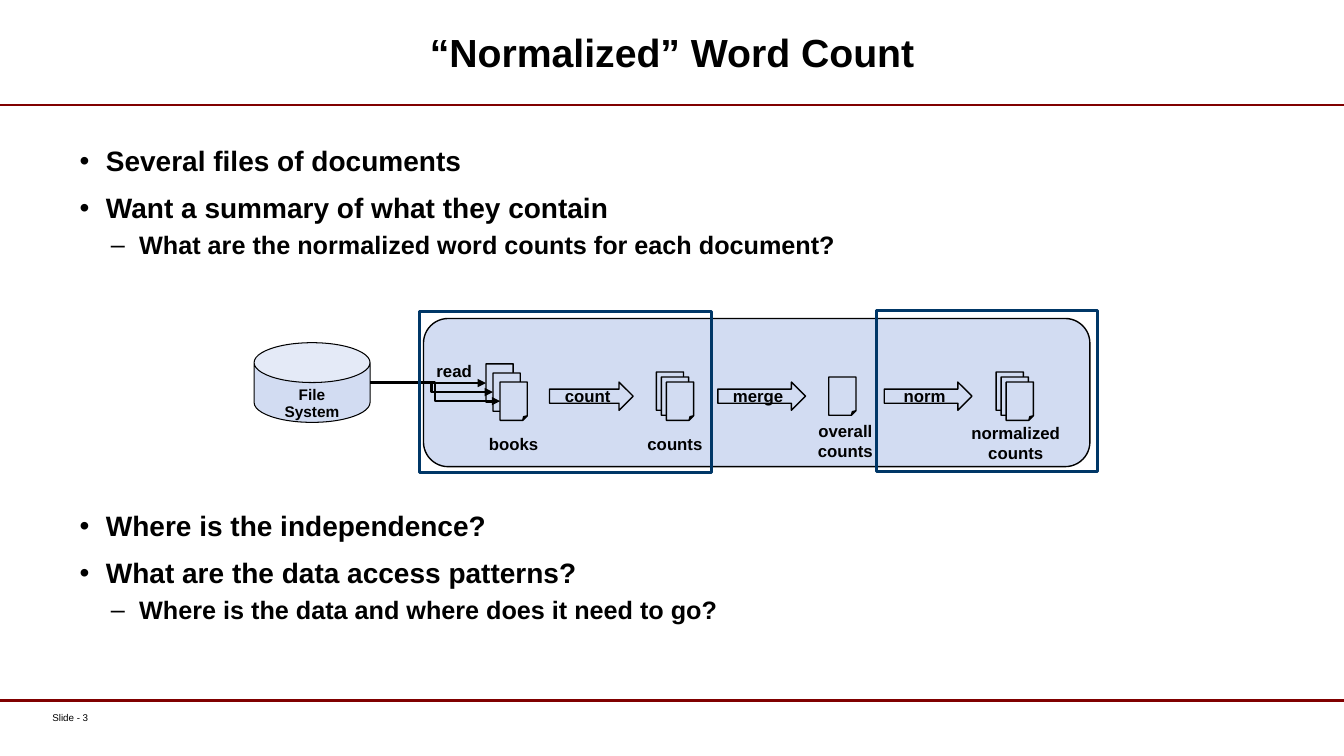
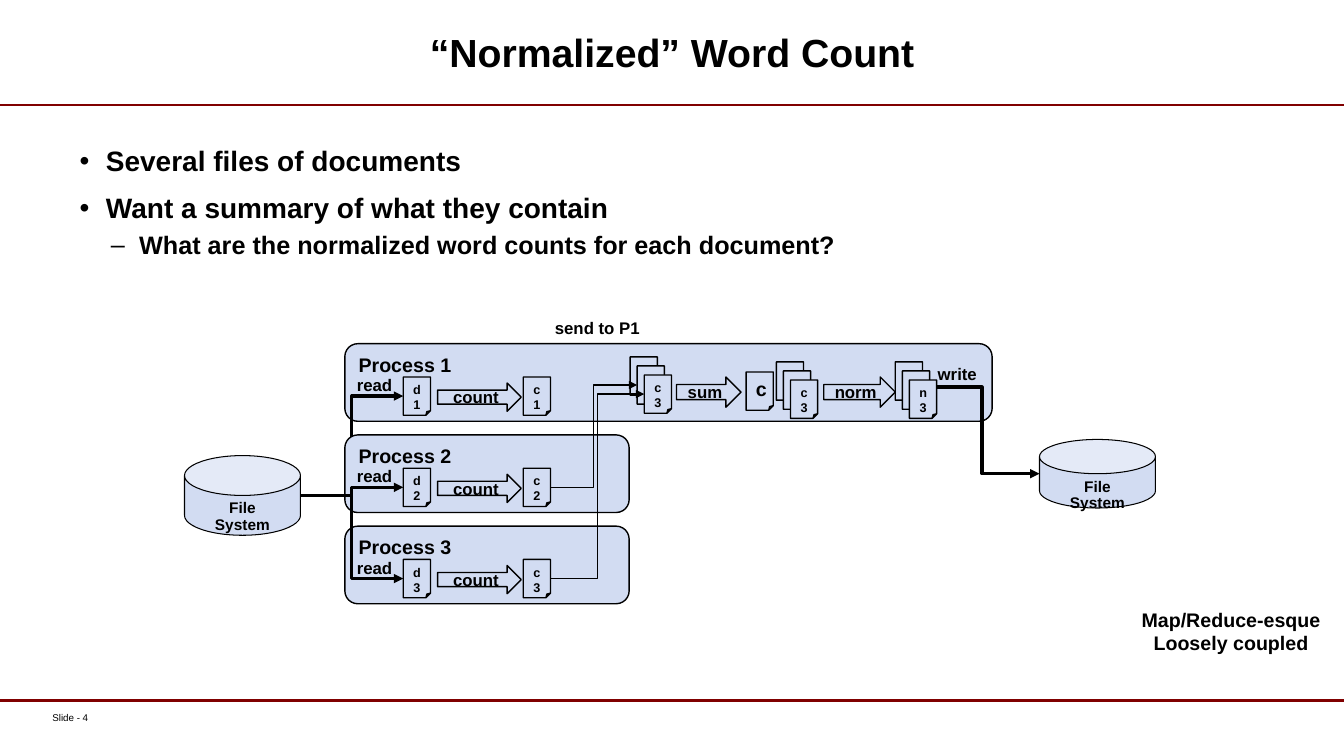
"""Build two slides that explain a normalized word count and its process layout."""
from lxml import etree
from pptx import Presentation
from pptx.dml.color import RGBColor
from pptx.enum.shapes import MSO_CONNECTOR, MSO_SHAPE
from pptx.enum.text import MSO_ANCHOR, MSO_AUTO_SIZE, PP_ALIGN
from pptx.oxml.ns import qn
from pptx.util import Inches, Pt

BLACK = RGBColor(0x00, 0x00, 0x00)
MAROON = RGBColor(0x80, 0x00, 0x00)
PALE_BLUE = RGBColor(0xD2, 0xDC, 0xF2)
NAVY = RGBColor(0x00, 0x37, 0x67)
FONT = "Arial"
LEFT, CENTER = PP_ALIGN.LEFT, PP_ALIGN.CENTER
TOP, MIDDLE = MSO_ANCHOR.TOP, MSO_ANCHOR.MIDDLE
STRAIGHT, ELBOW = MSO_CONNECTOR.STRAIGHT, MSO_CONNECTOR.ELBOW
PAGE, ARROW = MSO_SHAPE.FOLDED_CORNER, MSO_SHAPE.RIGHT_ARROW
PANEL, FRAME, CAN = MSO_SHAPE.ROUNDED_RECTANGLE, MSO_SHAPE.RECTANGLE, MSO_SHAPE.CAN

WIDTH, HEIGHT = 13.33, 7.5
TITLE_BOX = (1.37, 0.11, 10.59, 0.89)
BODY_BOX = (0.69, 1.41, 11.94, 5.28)
RULES = (1.04, 6.95)
PAGE_WIDTH, PAGE_HEIGHT = 0.27, 0.38
LABEL_WIDTH = 1.33
TIGHT, WIDE = (0.05, 0.05), (0.07, 0.09)
LEVELS = (
    {"size": 20, "before": 12, "bullet": "•", "margin": 0.26, "hanging": 0.26},
    {"size": 18, "before": 6, "bullet": "–", "margin": 0.59, "hanging": 0.28},
)

TITLE = "“Normalized” Word Count"
SUMMARY = [
    (0, "Several files of documents"),
    (0, "Want a summary of what they contain"),
    (1, "What are the normalized word counts for each document?"),
]
QUESTIONS = [
    (0, "Where is the independence?"),
    (0, "What are the data access patterns?"),
    (1, "Where is the data and where does it need to go?"),
]
DIAGRAM_GAP = 180
FILE_SYSTEM = ["File", "System"]

PIPELINE_ARROWS = [("count", 5.45, 0.83), ("merge", 7.12, 0.87), ("norm", 8.77, 0.87)]
PIPELINE_STACKS = [(6.61, 3.79, 3), (8.22, 3.74, 1), (9.98, 3.79, 3)]
PIPELINE_LABELS = [
    (["read"], 3.84, 3.53),
    (["books"], 4.43, 4.25),
    (["counts"], 6.03, 4.25),
    (["overall", "counts"], 7.72, 4.12),
    (["normalized", "counts"], 9.41, 4.14),
]
PIPELINE_FRAMES = [(4.16, 3.09, 2.9, 1.6), (8.69, 3.08, 2.2, 1.6)]

PROCESS_WIDTHS = [6.42, 2.82, 2.82]
PROCESS_LEFT, PROCESS_TOP, PROCESS_HEIGHT = 3.42, 3.41, 0.77
PROCESS_PITCH = 1.81 / 2
REDUCE_ARROWS = [("sum", 6.71, 0.64), ("norm", 8.17, 0.71)]
REDUCE_STACKS = [("c3", 7.84, 3.77), ("n3", 9.02, 3.77)]


def format_paragraph(paragraph, text, size=12, bold=True, align=CENTER, spacing=None,
                     before=None, bullet=None, margin=0, hanging=0):
    run = paragraph.add_run()
    run.text = text
    run.font.name, run.font.size, run.font.bold = FONT, Pt(size), bold
    run.font.color.rgb = BLACK
    paragraph.alignment = align
    if spacing is not None:
        paragraph.line_spacing = spacing
    if before is not None:
        paragraph.space_before = Pt(before)
    if bullet:
        properties = paragraph._p.get_or_add_pPr()
        properties.set("marL", str(Inches(margin)))
        properties.set("indent", str(-Inches(hanging)))
        etree.SubElement(properties, qn("a:buChar")).set("char", bullet)


def write(frame, lines, anchor=TOP, wrap=True, **text_format):
    frame.word_wrap = wrap
    frame.vertical_anchor = anchor
    for index, line in enumerate(lines):
        paragraph = frame.add_paragraph() if index else frame.paragraphs[0]
        format_paragraph(paragraph, line, **text_format)


def add_label(slide, lines, left, top, width=LABEL_WIDTH, height=0.3, **text_format):
    box = slide.shapes.add_textbox(*map(Inches, (left, top, width, height)))
    write(box.text_frame, lines, **text_format)
    return box


def add_block(slide, kind, box, lines=(), fill=PALE_BLUE, line=BLACK, weight=1, **text_format):
    shape = slide.shapes.add_shape(kind, *map(Inches, box))
    shape.shadow.inherit = False
    if fill is None:
        shape.fill.background()
    else:
        shape.fill.solid()
        shape.fill.fore_color.rgb = fill
    shape.line.color.rgb = line
    shape.line.width = Pt(weight)
    write(shape.text_frame, lines, **text_format)
    return shape


def add_line(slide, start, end, kind=ELBOW, color=BLACK, weight=1.5, arrow=True):
    connector = slide.shapes.add_connector(kind, *map(Inches, (*start, *end)))
    connector.line.color.rgb = color
    connector.line.width = Pt(weight)
    if arrow:
        outline = connector.line._get_or_add_ln()
        etree.SubElement(outline, qn("a:tailEnd")).set("type", "triangle")
    etree.SubElement(connector.element.spPr, qn("a:effectLst"))
    return connector


def add_arrow(slide, text, left, top, width, height=0.28):
    add_block(slide, ARROW, (left, top, width, height), [text], anchor=MIDDLE)


def add_stack(slide, left, top, count=1, step=TIGHT, text="", size=9):
    """Draw pages back to front and return the left middle point of each."""
    points = []
    for behind in reversed(range(count)):
        page_left, page_top = left - behind * step[0], top - behind * step[1]
        lines = [text] if text and behind == 0 else []
        add_block(slide, PAGE, (page_left, page_top, PAGE_WIDTH, PAGE_HEIGHT), lines, size=size)
        points.append((page_left, page_top + PAGE_HEIGHT / 2))
    return points


def add_file_system(slide, left, top, height=0.79):
    """Draw the disk and return its right middle point."""
    width = 1.15
    disk = add_block(slide, CAN, (left, top, width, height), FILE_SYSTEM,
                     weight=0.75, wrap=False, size=11, spacing=0.9)
    disk.adjustments[0] = 0.5
    return left + width, top + height / 2


def prepare_layout(presentation):
    layout = presentation.slide_layouts[1]
    for placeholder in layout.placeholders:
        box = {0: TITLE_BOX, 1: BODY_BOX}.get(placeholder.placeholder_format.idx)
        if box:
            (placeholder.left, placeholder.top,
             placeholder.width, placeholder.height) = map(Inches, box)
    return layout


def add_base_slide(presentation, layout, number, groups):
    slide = presentation.slides.add_slide(layout)
    for height in RULES:
        add_line(slide, (0, height), (WIDTH, height), STRAIGHT, MAROON, 1.75, arrow=False)
    footer = add_label(slide, [f"Slide - {number}"], 0.47, 7.06, 1.59, 0.24,
                       size=7, bold=False, align=LEFT).text_frame
    footer.margin_left = Inches(0.05)
    footer.margin_top = footer.margin_right = footer.margin_bottom = 0
    write(slide.shapes.title.text_frame, [TITLE], anchor=MIDDLE, size=28, spacing=Pt(28))
    body = slide.placeholders[1].text_frame
    body.auto_size = MSO_AUTO_SIZE.NONE
    paragraph = body.paragraphs[0]
    for group_index, group in enumerate(groups):
        for index, (level, text) in enumerate(group):
            if group_index or index:
                paragraph = body.add_paragraph()
            paragraph.level = level
            text_format = dict(LEVELS[level], align=LEFT, spacing=0.9)
            if group_index and index == 0:
                text_format["before"] = DIAGRAM_GAP
            format_paragraph(paragraph, text, **text_format)
    return slide


def draw_pipeline(slide):
    add_block(slide, PANEL, (4.2, 3.16, 6.61, 1.47))
    books = add_stack(slide, 4.96, 3.79, 3, WIDE)
    for left, top, count in PIPELINE_STACKS:
        add_stack(slide, left, top, count)
    for text, left, width in PIPELINE_ARROWS:
        add_arrow(slide, text, left, 3.79, width)
    disk = add_file_system(slide, 2.52, 3.4)
    for book in books:
        add_line(slide, disk, book)
    for lines, left, top in PIPELINE_LABELS:
        add_label(slide, lines, left, top, height=0.1 + 0.2 * len(lines))
    for box in PIPELINE_FRAMES:
        add_block(slide, FRAME, box, fill=None, line=NAVY, weight=2.25)


def draw_processes(slide):
    rows = [PROCESS_TOP + index * PROCESS_PITCH for index in range(len(PROCESS_WIDTHS))]
    disk = add_file_system(slide, 1.83, 4.52)
    count_ends = []
    for number, (top, width) in enumerate(zip(rows, PROCESS_WIDTHS), 1):
        add_block(slide, PANEL, (PROCESS_LEFT, top, width, PROCESS_HEIGHT),
                  [f"Process {number}"], size=14, align=LEFT)
        add_arrow(slide, "count", 4.34, top + 0.39, 0.83)
        document = add_stack(slide, 4, top + 0.33, text=f"d{number}")[0]
        left, middle = add_stack(slide, 5.19, top + 0.33, text=f"c{number}")[0]
        count_ends.append((left + PAGE_WIDTH, middle))
        add_line(slide, disk, document, weight=2.25)
        add_label(slide, ["read"], 3.05, top + 0.26)
    gathered = add_stack(slide, 6.39, 3.72, 3, WIDE, "c3")
    for start, end in zip(count_ends[1:], gathered[1:]):
        add_line(slide, start, end, weight=1)
    for text, left, width in REDUCE_ARROWS:
        add_arrow(slide, text, left, 3.74, width, 0.3)
    add_stack(slide, 7.4, 3.69, text="c", size=14)
    add_file_system(slide, 10.31, 4.36, 0.68)
    add_line(slide, (9.17, 3.84), (10.31, 4.7), weight=2.25)
    for text, left, top in REDUCE_STACKS:
        add_stack(slide, left, top, 3, WIDE, text)
    add_label(slide, ["write"], 8.83, 3.56)
    add_label(slide, ["send to P1"], 5.31, 3.1, 1.23)
    add_label(slide, ["Map/Reduce-esque", "Loosely coupled"], 11.22, 5.98, 1.98, 0.57,
              size=14, wrap=False)


def main():
    presentation = Presentation()
    presentation.slide_width, presentation.slide_height = Inches(WIDTH), Inches(HEIGHT)
    layout = prepare_layout(presentation)
    draw_pipeline(add_base_slide(presentation, layout, 3, [SUMMARY, QUESTIONS]))
    draw_processes(add_base_slide(presentation, layout, 4, [SUMMARY]))
    presentation.save("out.pptx")


if __name__ == "__main__":
    main()
